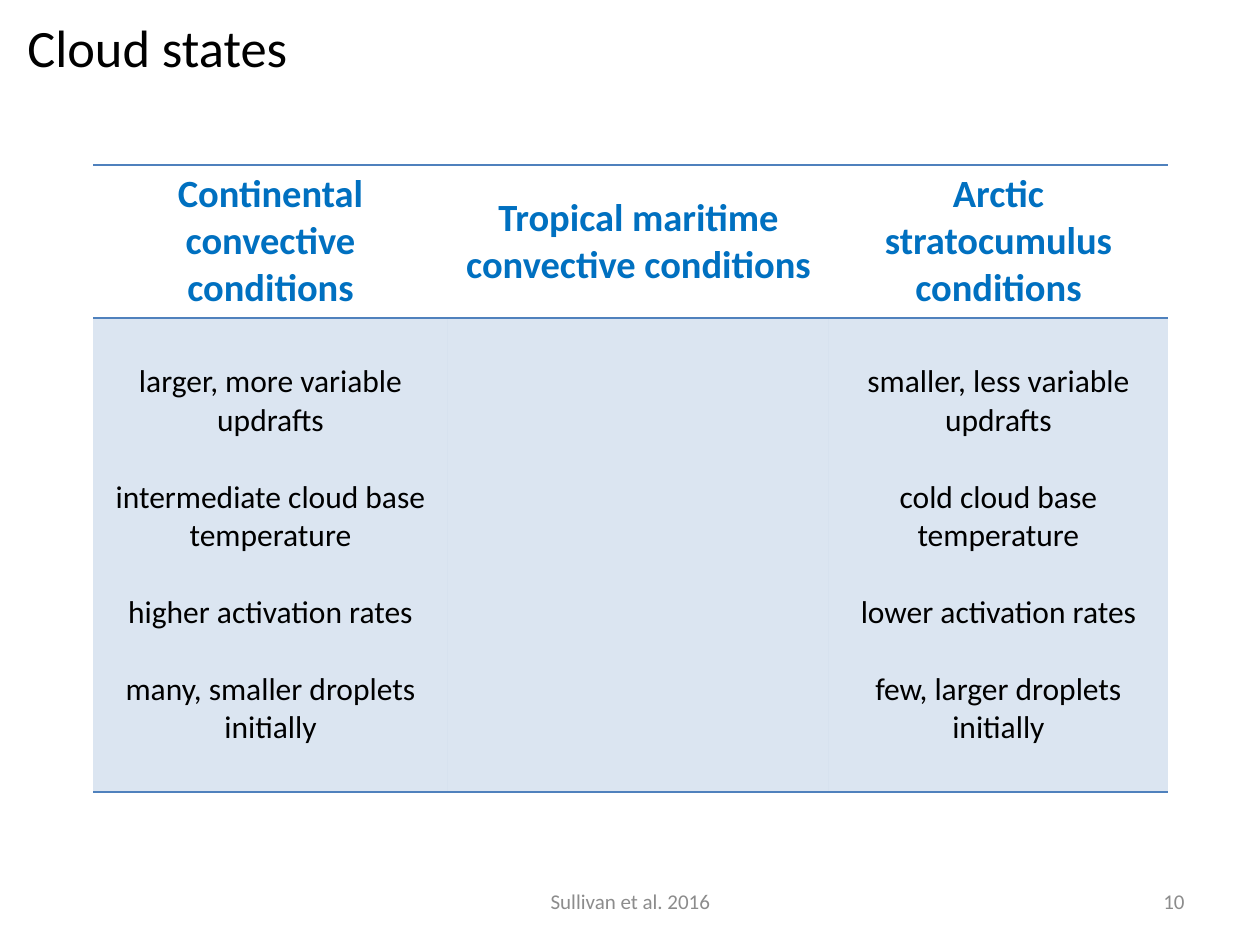
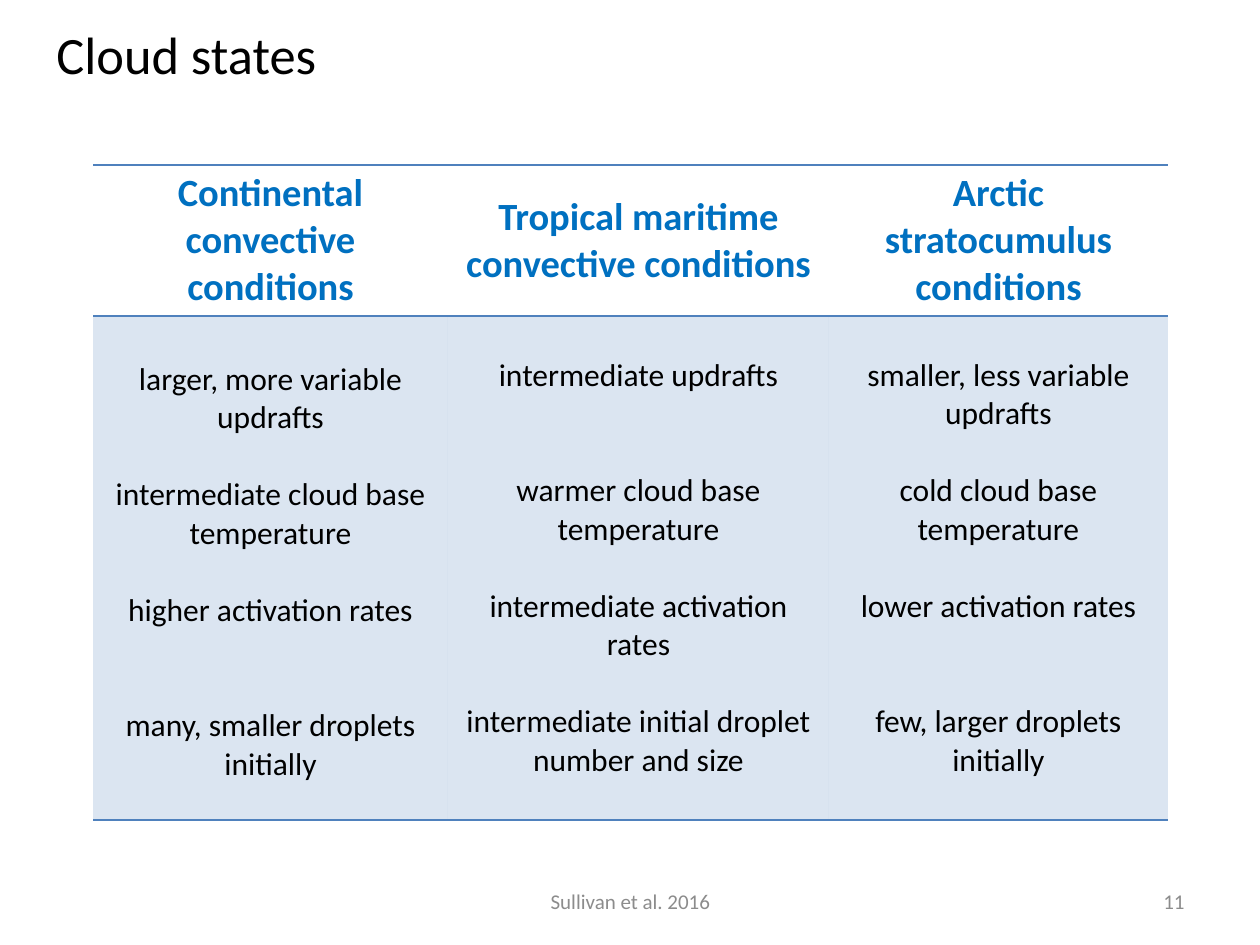
from lxml import etree
from pptx import Presentation
from pptx import util as u
from pptx.dml.color import RGBColor
from pptx.enum import text
from pptx.oxml.ns import qn

PX_PER_INCH = 126
FONT = "Calibri"
BLACK, GRAY, HEADING_BLUE, RULE_BLUE = "000000", "8C8C8C", "0070C0", "4F81BD"
LINE = 22  # height in points of one line of body text

HEADINGS = [
    "Continental convective conditions",
    "Tropical maritime convective conditions",
    "Arctic stratocumulus conditions",
]
COLUMN_WIDTHS = [355, 381, 339]

# Each column lists its entries as (blank lines before, wording)
CONTINENTAL = [
    (0, "larger, more variable updrafts"),
    (1, "intermediate cloud base temperature"),
    (1, "higher activation rates"),
]
TROPICAL = [
    (0, "intermediate updrafts"),
    (2, "warmer cloud base temperature"),
    (1, "intermediate activation rates"),
    (1, "intermediate initial droplet number and size"),
]
ARCTIC = [
    (0, "smaller, less variable updrafts"),
    (1, "cold cloud base temperature"),
    (1, "lower activation rates"),
]
MANY_DROPLETS = "many, smaller droplets initially"
FEW_DROPLETS = "few, larger droplets initially"


def px(length):
    return u.Emu(round(length * 914400 / PX_PER_INCH))


def color(value):
    return RGBColor.from_string(value)


def add_run(paragraph, wording, size, hex_color, bold=False):
    run = paragraph.add_run()
    run.text = wording
    run.font.name = FONT
    run.font.size = u.Pt(size)
    run.font.bold = bold
    run.font.color.rgb = color(hex_color)


def add_text(slide, box, wording, size, hex_color, align=text.PP_ALIGN.LEFT,
             anchor=text.MSO_ANCHOR.MIDDLE, wrap=True):
    frame = slide.shapes.add_textbox(*map(px, box)).text_frame
    frame.word_wrap = wrap
    frame.vertical_anchor = anchor
    paragraph = frame.paragraphs[0]
    paragraph.alignment = align
    add_run(paragraph, wording, size, hex_color)


def add_title(slide, left, top):
    add_text(slide, (left, top, 287, 77), "Cloud states", 30, BLACK,
             anchor=text.MSO_ANCHOR.TOP, wrap=False)


def add_footer(slide, number):
    add_text(slide, (431, 876, 399, 50), "Sullivan et al. 2016", 12, GRAY,
             text.PP_ALIGN.CENTER)
    add_text(slide, (903, 876, 294, 50), str(number), 12, GRAY,
             text.PP_ALIGN.RIGHT)


def set_borders(cell, ruled_sides):
    """Rule the given sides (L, R, T, B) and clear the others."""
    properties = cell._tc.get_or_add_tcPr()
    for index, side in enumerate("LRTB"):
        line = etree.Element(qn(f"a:ln{side}"), w=str(u.Pt(1)))
        if side in ruled_sides:
            fill = etree.SubElement(line, qn("a:solidFill"))
            etree.SubElement(fill, qn("a:srgbClr"), val=RULE_BLUE)
        else:
            etree.SubElement(line, qn("a:noFill"))
        properties.insert(index, line)


def tint(cell, percent):
    cell.fill.solid()
    cell.fill.fore_color.rgb = color(RULE_BLUE)
    rgb = cell._tc.tcPr.find(f"{qn('a:solidFill')}/{qn('a:srgbClr')}")
    etree.SubElement(rgb, qn("a:alpha"), val=str(percent * 1000))


def fill_cell(cell, entries, size, hex_color, bold=False):
    cell.vertical_anchor = text.MSO_ANCHOR.MIDDLE
    cell.margin_top = cell.margin_bottom = px(5)
    frame = cell.text_frame
    for index, (blank_lines, wording) in enumerate(entries):
        paragraph = frame.add_paragraph() if index else frame.paragraphs[0]
        paragraph.alignment = text.PP_ALIGN.CENTER
        paragraph.space_before = u.Pt(blank_lines * LINE)
        add_run(paragraph, wording, size, hex_color, bold)


def add_state_table(slide, row_heights, states):
    frame = slide.shapes.add_table(
        2, len(HEADINGS), px(93), px(165), px(sum(COLUMN_WIDTHS)),
        px(sum(row_heights)))
    table = frame.table
    table.first_row = table.horz_banding = False
    for row, height in zip(table.rows, row_heights):
        row.height = px(height)
    for index, (heading, entries) in enumerate(zip(HEADINGS, states)):
        table.columns[index].width = px(COLUMN_WIDTHS[index])
        header, body = table.cell(0, index), table.cell(1, index)
        fill_cell(header, [(0, heading)], 22, HEADING_BLUE, bold=True)
        header.fill.background()
        set_borders(header, "TB")
        fill_cell(body, entries, 18, BLACK)
        tint(body, 20)
        set_borders(body, "TB")
    return table


def main():
    presentation = Presentation()
    presentation.slide_width, presentation.slide_height = px(1260), px(945)
    blank = presentation.slide_layouts[6]

    # Tropical column still open
    slide = presentation.slides.add_slide(blank)
    add_footer(slide, 10)
    add_state_table(slide, (153, 474), [
        CONTINENTAL + [(1, MANY_DROPLETS)], [], ARCTIC + [(1, FEW_DROPLETS)]])
    add_title(slide, 15, 9)

    # All three columns, droplet entries aligned
    slide = presentation.slides.add_slide(blank)
    add_footer(slide, 11)
    add_title(slide, 44, 16)
    table = add_state_table(slide, (151, 504), [
        CONTINENTAL + [(2, MANY_DROPLETS)], TROPICAL,
        ARCTIC + [(2, FEW_DROPLETS)]])
    table.cell(1, 0).margin_top = px(13)

    presentation.save("out.pptx")


if __name__ == "__main__":
    main()
